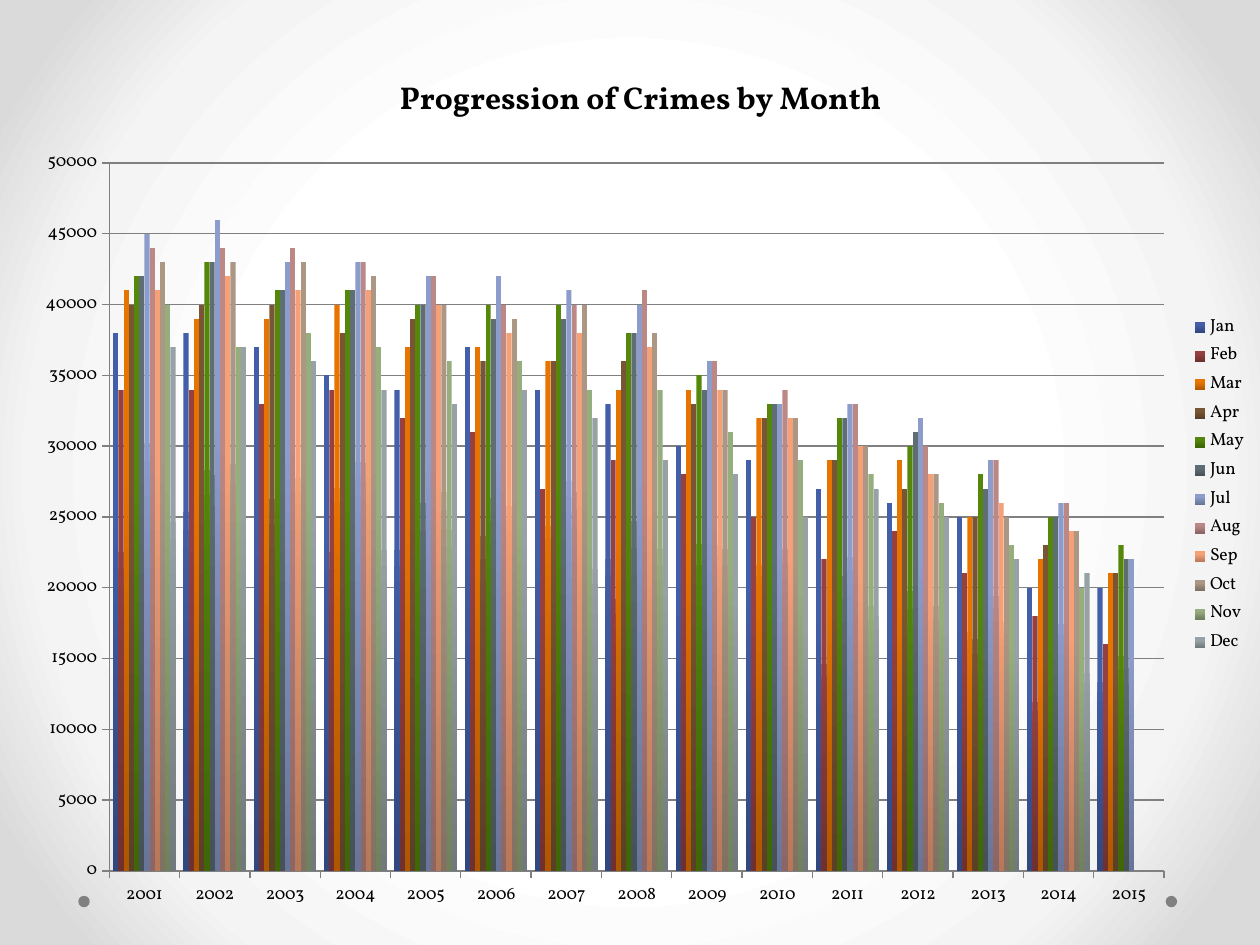
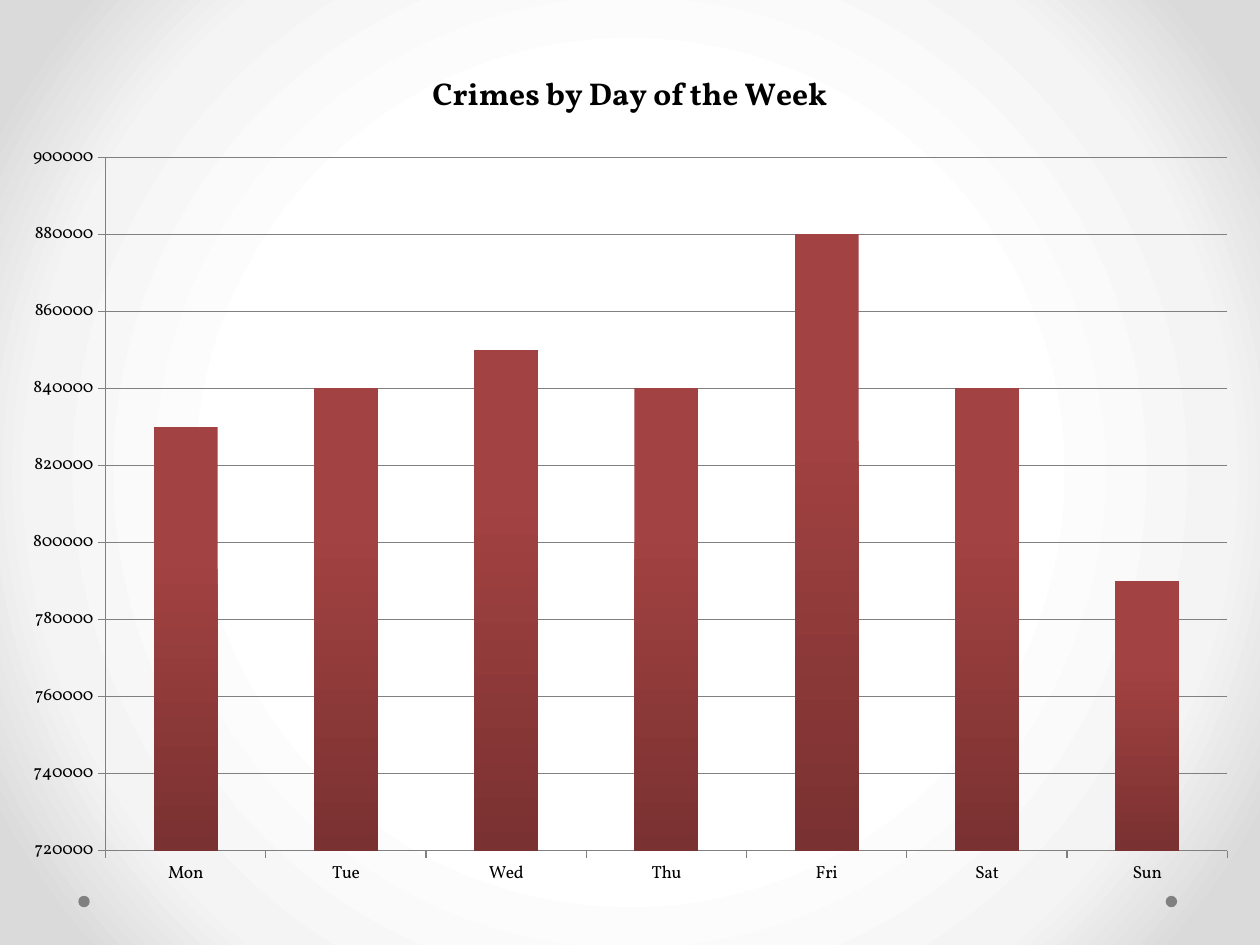
from dataclasses import dataclass

from pptx import Presentation
from pptx.chart.data import CategoryChartData as Data
from pptx.dml.color import RGBColor as Rgb
from pptx.enum.chart import XL_CHART_TYPE as Kind
from pptx.enum.chart import XL_LEGEND_POSITION as Side
from pptx.enum.chart import XL_TICK_MARK as Tick
from pptx.enum.shapes import MSO_SHAPE as Form
from pptx.oxml import parse_xml
from pptx.oxml.ns import nsdecls
from pptx.util import Cm, Pt


# Colours and type sizes
@dataclass(frozen=True)
class Theme:
    font: str = "Vollkorn"
    ink: str = "000000"
    grey: str = "808080"
    red: str = "A34242"
    title: int = 18
    label: int = 10
    shade: float = 0.75
    glow: tuple = ((50, "FFFFFF"), (76, "F4F4F4"), (92, "DADADA"))
    bars: tuple = ("435FA9", "964040", "E87400", "7A5535", "55880A", "5E6E74",
                   "8C9CCB", "BB8886", "F5A077", "AC9784", "96AD7D", "98A2A6")


# Crimes per month in thousands, one value per year
YEARS = range(2001, 2016)
MONTHS = {
    "Jan": (38, 38, 37, 35, 34, 37, 34, 33, 30, 29, 27, 26, 25, 20, 20),
    "Feb": (34, 34, 33, 34, 32, 31, 27, 29, 28, 25, 22, 24, 21, 18, 16),
    "Mar": (41, 39, 39, 40, 37, 37, 36, 34, 34, 32, 29, 29, 25, 22, 21),
    "Apr": (40, 40, 40, 38, 39, 36, 36, 36, 33, 32, 29, 27, 25, 23, 21),
    "May": (42, 43, 41, 41, 40, 40, 40, 38, 35, 33, 32, 30, 28, 25, 23),
    "Jun": (42, 43, 41, 41, 40, 39, 39, 38, 34, 33, 32, 31, 27, 25, 22),
    "Jul": (45, 46, 43, 43, 42, 42, 41, 40, 36, 33, 33, 32, 29, 26, 22),
    "Aug": (44, 44, 44, 43, 42, 40, 40, 41, 36, 34, 33, 30, 29, 26, 0),
    "Sep": (41, 42, 41, 41, 40, 38, 38, 37, 34, 32, 30, 28, 26, 24, 0),
    "Oct": (43, 43, 43, 42, 40, 39, 40, 38, 34, 32, 30, 28, 25, 24, 0),
    "Nov": (40, 37, 38, 37, 36, 36, 34, 34, 31, 29, 28, 26, 23, 20, 0),
    "Dec": (37, 37, 36, 34, 33, 34, 32, 29, 28, 25, 27, 25, 22, 21, 0),
}

# Crimes per weekday in thousands
DAYS = {"Mon": 830, "Tue": 840, "Wed": 850, "Thu": 840,
        "Fri": 880, "Sat": 840, "Sun": 790}


def style(font, look, size, bold=False):
    font.name, font.size, font.bold = look.font, Pt(size), bold
    font.color.rgb = Rgb.from_string(look.ink)


def write(frame, text, **form):
    frame.text = text
    style(frame.paragraphs[0].runs[0].font, **form)


def darken(tone, part):
    return Rgb(*(int(c * part) for c in Rgb.from_string(tone)))


class Deck:
    def __init__(self, look):
        self.look = look
        self.show = Presentation()
        self.show.slide_width, self.show.slide_height = Cm(25.4), Cm(19.05)
        self.slide = None
        self.glow()

    # Round gradient on the master, shared by all slides
    def glow(self):
        master = self.show.slide_master
        master.background.fill.gradient()
        old = master.element.xpath(".//p:bg//a:gradFill")[0]
        stops = "".join(f'<a:gs pos="{at * 1000}"><a:srgbClr val="{tone}"/></a:gs>'
                        for at, tone in self.look.glow)
        new = parse_xml(
            f'<a:gradFill {nsdecls("a")} rotWithShape="1"><a:gsLst>{stops}</a:gsLst>'
            '<a:path path="circle"><a:fillToRect l="50000" t="50000" r="50000" '
            'b="50000"/></a:path></a:gradFill>')
        old.getparent().replace(old, new)

    # New slide with a dot in each lower corner
    def page(self):
        self.slide = self.show.slides.add_slide(self.show.slide_layouts[6])
        for left in (1.58, 23.5):
            self.dot(left, 18.06, 0.23)

    def dot(self, left, top, size):
        dot = self.slide.shapes.add_shape(
            Form.OVAL, Cm(left), Cm(top), Cm(size), Cm(size))
        dot.shadow.inherit = False
        dot.fill.solid()
        dot.fill.fore_color.rgb = Rgb.from_string(self.look.grey)
        dot.line.fill.background()

    def chart(self, title, cats, rows, box, plot, span, tones, key=False):
        data = Data(number_format="General")
        data.categories = cats
        for name, vals in rows.items():
            data.add_series(name, [val * 1000 for val in vals])
        chart = self.slide.shapes.add_chart(
            Kind.COLUMN_CLUSTERED, *map(Cm, box), data).chart
        style(chart.font, self.look, self.look.label)
        chart.has_title = True
        write(chart.chart_title.text_frame, title,
              look=self.look, size=self.look.title, bold=True)
        chart.chart_title.include_in_layout = False
        chart.has_legend = key
        if key:
            chart.legend.position = Side.RIGHT
            chart.legend.include_in_layout = False
        self.axes(chart, span)
        self.place(chart, plot)
        self.paint(chart.plots[0], tones)

    def axes(self, chart, span):
        low, high, step = span
        scale = chart.value_axis
        scale.minimum_scale, scale.maximum_scale = low, high
        scale.major_unit = step
        scale.has_major_gridlines = True
        for axis in (scale, chart.category_axis):
            axis.major_tick_mark, axis.minor_tick_mark = Tick.OUTSIDE, Tick.NONE
            self.rule(axis.format.line)
        self.rule(scale.major_gridlines.format.line)

    def rule(self, line):
        line.color.rgb = Rgb.from_string(self.look.grey)
        line.width = Pt(0.75)

    # Fix the inner plot area as parts of the chart frame
    def place(self, chart, plot):
        area = chart.element.xpath(".//c:plotArea")[0]
        for old in area.xpath("./c:layout"):
            area.remove(old)
        modes = '<c:xMode val="edge"/><c:yMode val="edge"/>'
        sizes = "".join(f'<c:{tag} val="{val / 100}"/>' for tag, val in zip("xywh", plot))
        area.insert(0, parse_xml(
            f'<c:layout {nsdecls("c")}><c:manualLayout><c:layoutTarget val="inner"/>'
            f"{modes}{sizes}</c:manualLayout></c:layout>"))

    # Bars fade to a darker foot
    def paint(self, plot, tones):
        plot.gap_width, plot.overlap = 150, 0
        plot.vary_by_categories = False
        for bar, tone in zip(plot.series, tones):
            fill = bar.format.fill
            fill.gradient()
            fill.gradient_angle = 270
            top, foot = fill.gradient_stops
            top.position, foot.position = 0.3, 1
            top.color.rgb = Rgb.from_string(tone)
            foot.color.rgb = darken(tone, self.look.shade)


def main():
    look = Theme()
    deck = Deck(look)

    # Months
    deck.page()
    deck.chart("Progression of Crimes by Month", YEARS, MONTHS,
               box=(0.43, 0.91, 24.97, 17.73), plot=(7.1, 13.4, 85.15, 80.5),
               span=(0, 50000, 5000), tones=look.bars, key=True)

    # Weekdays
    deck.page()
    deck.chart("Crimes by Day of the Week", DAYS, {"Series 1": DAYS.values()},
               box=(0.15, 0.84, 25.1, 17.4), plot=(7.88, 13.4, 90.1, 80.35),
               span=(720000, 900000, 20000), tones=(look.red,))

    deck.show.save("out.pptx")


if __name__ == "__main__":
    main()
